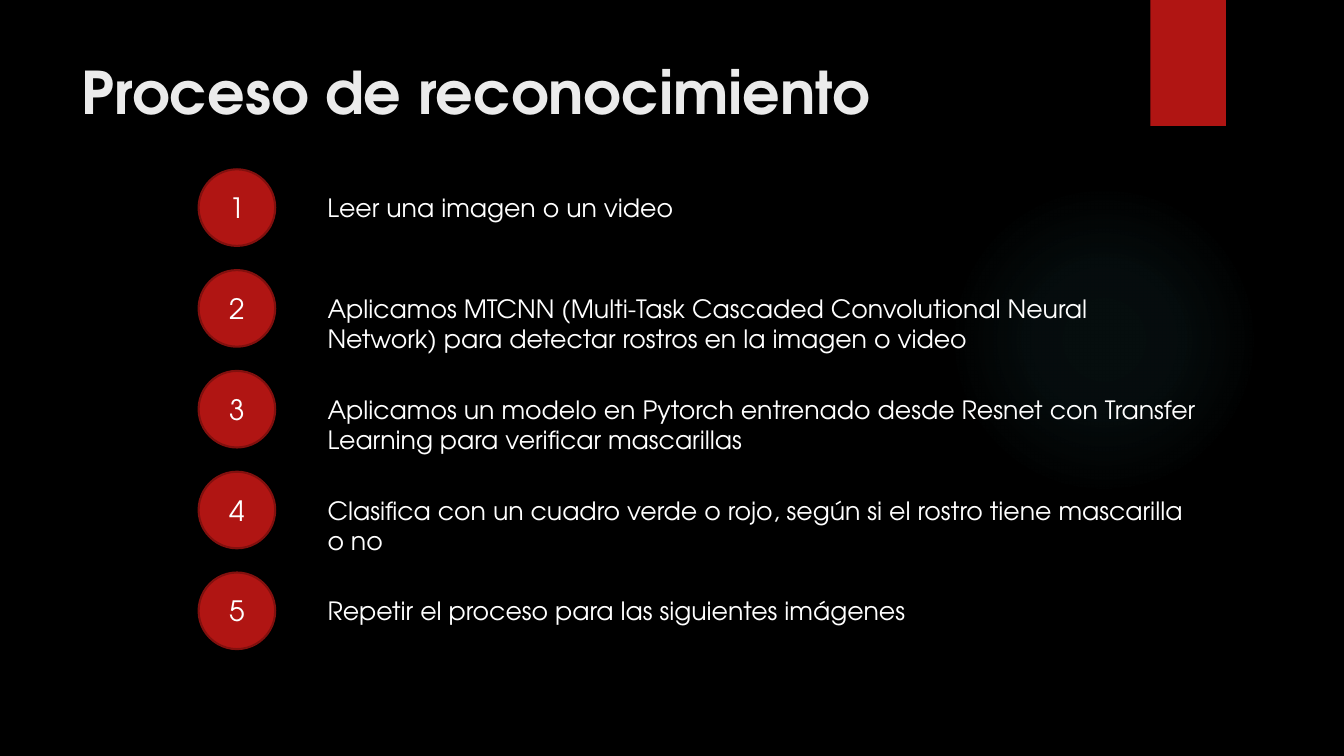
"""Build the slide that lists the five steps of face mask recognition."""
import pptx
import pptx.dml.color
import pptx.enum.shapes
import pptx.enum.text
import pptx.oxml
import pptx.oxml.ns
import pptx.util

Inches = pptx.util.Inches
Shape = pptx.enum.shapes.MSO_SHAPE
Anchor = pptx.enum.text.MSO_ANCHOR
Fit = pptx.enum.text.MSO_AUTO_SIZE
RED = "B01513"


def color(code):
    return pptx.dml.color.RGBColor.from_string(code)


def write(frame, text, size, code, bold=False):
    run = frame.paragraphs[0].add_run()
    run.text = text
    run.font.name = "TeX Gyre Adventor"
    run.font.size = pptx.util.Pt(size)
    run.font.bold = bold
    run.font.color.rgb = color(code)


deck = pptx.Presentation()
deck.slide_width, deck.slide_height = Inches(13.33), Inches(7.5)
slide = deck.slides.add_slide(deck.slide_layouts[5])
slide.background.fill.solid()
slide.background.fill.fore_color.rgb = color("000000")
shapes = slide.shapes

glow = shapes.add_shape(Shape.OVAL, Inches(9.41), Inches(1.83), Inches(3.08), Inches(3.08))
glow.shadow.inherit = False
glow.line.fill.background()
stops = "".join(
    f'<a:gs pos="{pos}000"><a:srgbClr val="50B9C1"><a:alpha val="{alpha}000"/></a:srgbClr></a:gs>'
    for pos, alpha in [(0, 7), (36, 6), (69, 0), (100, 0)]
)
fade = pptx.oxml.parse_xml(
    f'<a:gradFill {pptx.oxml.ns.nsdecls("a")}><a:gsLst>{stops}</a:gsLst><a:path path="circle">'
    '<a:fillToRect l="50000" t="50000" r="50000" b="50000"/></a:path></a:gradFill>'
)
glow.element.spPr.find(pptx.oxml.ns.qn("a:prstGeom")).addnext(fade)

tab = shapes.add_shape(Shape.RECTANGLE, Inches(11.41), 0, Inches(0.75), Inches(1.25))
tab.shadow.inherit = False
tab.fill.solid()
tab.fill.fore_color.rgb = color(RED)
tab.line.fill.background()

title = shapes.title
title.left, title.top = Inches(0.71), Inches(0.5)
title.width, title.height = Inches(9.96), Inches(0.95)
title.text_frame.vertical_anchor = Anchor.TOP
title.text_frame.paragraphs[0].alignment = pptx.enum.text.PP_ALIGN.LEFT
write(title.text_frame, "Proceso de reconocimiento", 42, "EBEBEB", True)

steps = [
    ("Leer una imagen o un video", 3.67, 0.4, False),
    ("Aplicamos MTCNN (Multi-Task Cascaded Convolutional Neural Network) "
     "para detectar rostros en la imagen o video", 8.21, 0.71, True),
    ("Aplicamos un modelo en Pytorch entrenado desde Resnet con Transfer "
     "Learning para verificar mascarillas", 8.88, 0.71, True),
    ("Clasifica con un cuadro verde o rojo, según si el rostro tiene "
     "mascarilla o no", 8.88, 0.71, True),
    ("Repetir el proceso para las siguientes imágenes", 6.02, 0.4, False),
]
for row, (text, width, height, wrap) in enumerate(steps):
    disc = shapes.add_shape(
        Shape.OVAL, Inches(1.97), Inches(1.68 + row), Inches(0.76), Inches(0.76))
    disc.shadow.inherit = False
    disc.fill.solid()
    disc.fill.fore_color.rgb = color(RED)
    disc.line.color.rgb = color("82100E")
    disc.line.width = pptx.util.Pt(1.5)
    disc.text_frame.vertical_anchor = Anchor.MIDDLE
    disc.text_frame.paragraphs[0].alignment = pptx.enum.text.PP_ALIGN.CENTER
    write(disc.text_frame, str(row + 1), 20, "FFFFFF")

    box = shapes.add_textbox(Inches(3.15), Inches(1.86 + row), Inches(width), Inches(height))
    box.text_frame.word_wrap = wrap
    box.text_frame.auto_size = Fit.SHAPE_TO_FIT_TEXT
    write(box.text_frame, text, 18, "FFFFFF")

deck.save("out.pptx")
